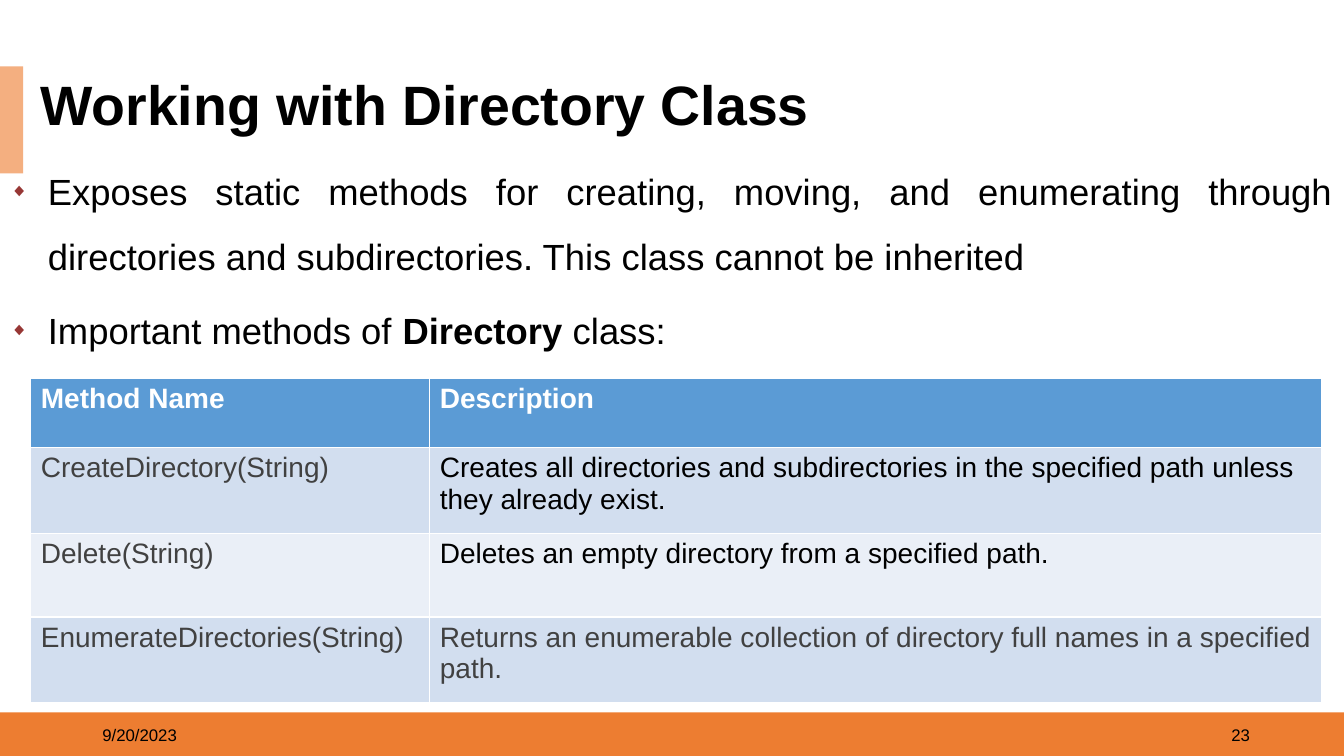
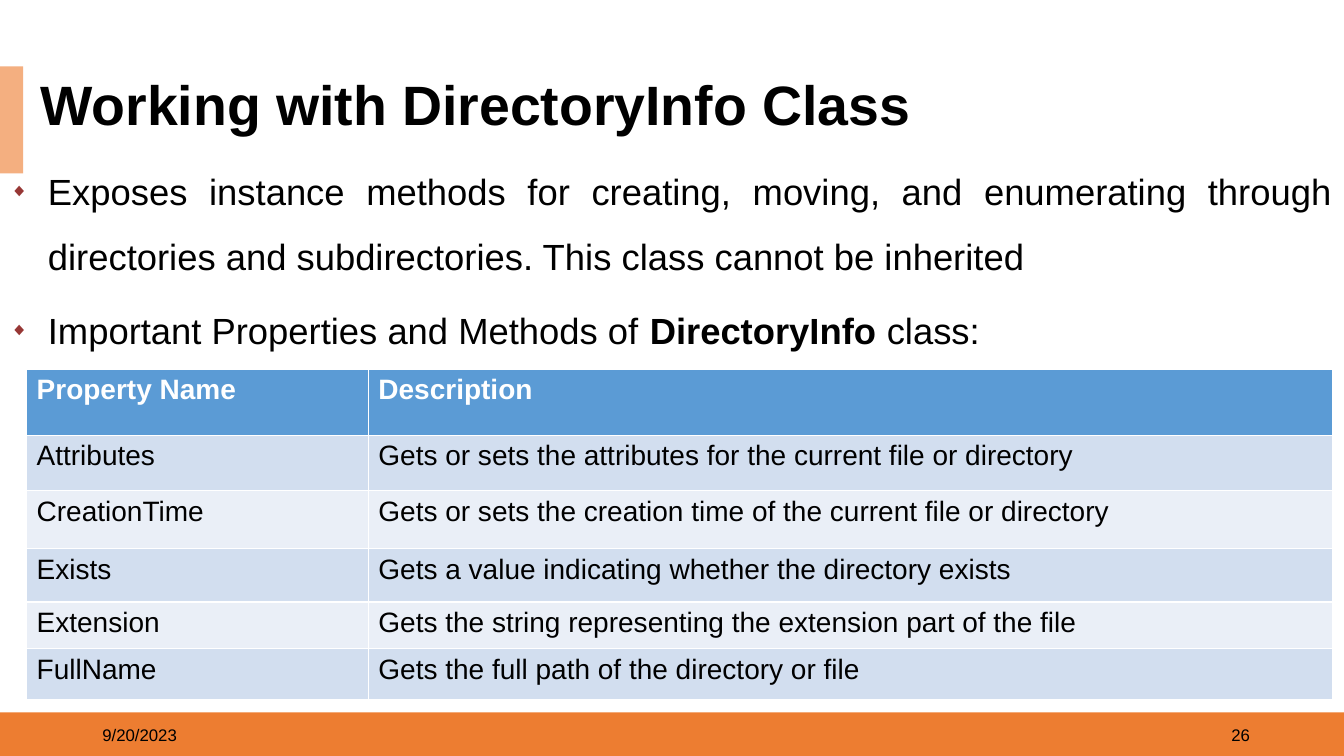
import pptx
import pptx.dml.color
import pptx.enum.shapes
import pptx.enum.text
import pptx.oxml
import pptx.oxml.ns
import pptx.util

Pt = pptx.util.Pt
RGBColor = pptx.dml.color.RGBColor
Align = pptx.enum.text.PP_ALIGN
Anchor = pptx.enum.text.MSO_ANCHOR

FONT = "Arial"
WHITE = RGBColor(0xFF, 0xFF, 0xFF)
BLACK = RGBColor(0x00, 0x00, 0x00)
GREY = RGBColor(0x41, 0x41, 0x41)
ORANGE = RGBColor(0xED, 0x7D, 0x31)
PEACH = RGBColor(0xF4, 0xAF, 0x80)
DARK_RED = RGBColor(0x97, 0x37, 0x35)
HEADER_BLUE = RGBColor(0x5B, 0x9B, 0xD5)
ROW_FILLS = (RGBColor(0xD2, 0xDE, 0xEF), RGBColor(0xEA, 0xEF, 0xF7))

WIDTH, HEIGHT = 960, 540
BANDS = (((0, 508.8, WIDTH, 31.4), ORANGE), ((0, 47.4, 16.6, 76.4), PEACH))
DATE = "9/20/2023"

DIRECTORY = {
    "title": "Working with Directory Class",
    "number": "23",
    "bullets": [
        [("Exposes static methods for creating, moving, and enumerating through "
          "directories and subdirectories. This class cannot be inherited", False)],
        [("Important methods of ", False), ("Directory ", True), ("class:", False)],
    ],
    "origin": (22, 270.3),
    "columns": (285, 637.2),
    "heights": (49.4, 61.2, 59.8, 61.2),
    "header": ("Method Name", "Description"),
    "rows": [
        (("CreateDirectory(String)", GREY),
         ("Creates all directories and subdirectories in the specified path "
          "unless they already exist.", BLACK)),
        (("Delete(String)", GREY),
         ("Deletes an empty directory from a specified path.", BLACK)),
        (("EnumerateDirectories(String)", GREY),
         ("Returns an enumerable collection of directory full names in a "
          "specified path.", GREY)),
    ],
}

DIRECTORY_INFO = {
    "title": "Working with DirectoryInfo Class",
    "number": "26",
    "bullets": [
        [("Exposes instance methods for creating, moving, and enumerating through "
          "directories and subdirectories. This class cannot be inherited", False)],
        [("Important Properties and Methods of ", False), ("DirectoryInfo ", True),
         ("class:", False)],
    ],
    "origin": (19, 263.9),
    "columns": (244.1, 689),
    "heights": (47.2, 39.4, 41.5, 38, 33.4, 36.5),
    "header": ("Property Name", "Description"),
    "rows": [
        tuple((text, BLACK) for text in row) for row in (
            ("Attributes", "Gets or sets the attributes for the current file or directory"),
            ("CreationTime", "Gets or sets the creation time of the current file or directory"),
            ("Exists", "Gets a value indicating whether the directory exists"),
            ("Extension", "Gets the string representing the extension part of the file"),
            ("FullName", "Gets the full path of the directory or file"),
        )
    ],
}


def add_run(paragraph, text, size, color=BLACK, bold=False):
    run = paragraph.add_run()
    run.text = text
    run.font.name = FONT
    run.font.size = Pt(size)
    run.font.bold = bold
    run.font.color.rgb = color


def place(shape, left, top, width, height):
    shape.left, shape.top = Pt(left), Pt(top)
    shape.width, shape.height = Pt(width), Pt(height)


def add_bands(slide):
    for position, (box, color) in enumerate(BANDS, start=2):
        band = slide.shapes.add_shape(
            pptx.enum.shapes.MSO_SHAPE.RECTANGLE, *map(Pt, box))
        band.shadow.inherit = False
        band.fill.solid()
        band.fill.fore_color.rgb = color
        band.line.fill.background()
        slide.shapes._spTree.insert(position, band._element)


def set_title(slide, text):
    title = slide.shapes.title
    place(title, 21.6, 54, 649.4, 45.4)
    title.fill.solid()
    title.fill.fore_color.rgb = WHITE
    frame = title.text_frame
    frame.auto_size = pptx.enum.text.MSO_AUTO_SIZE.NONE
    frame.vertical_anchor = Anchor.MIDDLE
    paragraph = frame.paragraphs[0]
    paragraph.alignment = Align.LEFT
    paragraph.line_spacing = 0.9
    add_run(paragraph, text, 39.6, bold=True)


def add_bullet(paragraph):
    properties = paragraph._p.get_or_add_pPr()
    properties.set("marL", str(Pt(27)))
    properties.set("indent", str(-Pt(27)))
    namespace = pptx.oxml.ns.nsdecls("a")
    for xml in (
        f'<a:buClr {namespace}><a:srgbClr val="{DARK_RED}"/></a:buClr>',
        f'<a:buSzPct {namespace} val="50000"/>',
        f'<a:buFont {namespace} typeface="{FONT}"/>',
        f'<a:buChar {namespace} char="◆"/>',
    ):
        properties.append(pptx.oxml.parse_xml(xml))


def set_bullets(slide, bullets):
    body = slide.placeholders[1]
    place(body, 0, 101.5, WIDTH, 149)
    frame = body.text_frame
    frame.auto_size = pptx.enum.text.MSO_AUTO_SIZE.NONE
    frame.vertical_anchor = Anchor.TOP
    for index, runs in enumerate(bullets):
        paragraph = frame.add_paragraph() if index else frame.paragraphs[0]
        paragraph.alignment = Align.JUSTIFY
        paragraph.line_spacing = 1.5
        paragraph.space_before = paragraph.space_after = Pt(3)
        add_bullet(paragraph)
        for text, bold in runs:
            add_run(paragraph, text, 26, bold=bold)


def add_footer(slide, left, text, alignment):
    footer = slide.shapes.add_textbox(Pt(left), Pt(510.5), Pt(216), Pt(28.8))
    frame = footer.text_frame
    frame.word_wrap = True
    frame.vertical_anchor = Anchor.MIDDLE
    paragraph = frame.paragraphs[0]
    paragraph.alignment = alignment
    add_run(paragraph, text, 12)


def fill_cell(cell, text, fill, color, bold=False):
    cell.fill.solid()
    cell.fill.fore_color.rgb = fill
    add_run(cell.text_frame.paragraphs[0], text, 20, color, bold)


def add_members(slide, content):
    columns, heights = content["columns"], content["heights"]
    left, top = content["origin"]
    members = slide.shapes.add_table(
        len(heights), len(columns), Pt(left), Pt(top),
        Pt(sum(columns)), Pt(sum(heights))).table
    for column, width in zip(members.columns, columns):
        column.width = Pt(width)
    for row, height in zip(members.rows, heights):
        row.height = Pt(height)
    for column, text in enumerate(content["header"]):
        fill_cell(members.cell(0, column), text, HEADER_BLUE, WHITE, bold=True)
    for index, row in enumerate(content["rows"]):
        for column, (text, color) in enumerate(row):
            fill_cell(members.cell(index + 1, column), text,
                      ROW_FILLS[index % 2], color)


def add_class_slide(deck, content):
    slide = deck.slides.add_slide(deck.slide_layouts[1])
    add_bands(slide)
    set_title(slide, content["title"])
    add_footer(slide, 66, DATE, Align.LEFT)
    add_footer(slide, 684, content["number"], Align.RIGHT)
    set_bullets(slide, content["bullets"])
    add_members(slide, content)


def main():
    deck = pptx.Presentation()
    deck.slide_width, deck.slide_height = Pt(WIDTH), Pt(HEIGHT)
    for content in (DIRECTORY, DIRECTORY_INFO):
        add_class_slide(deck, content)
    deck.save("out.pptx")


if __name__ == "__main__":
    main()
